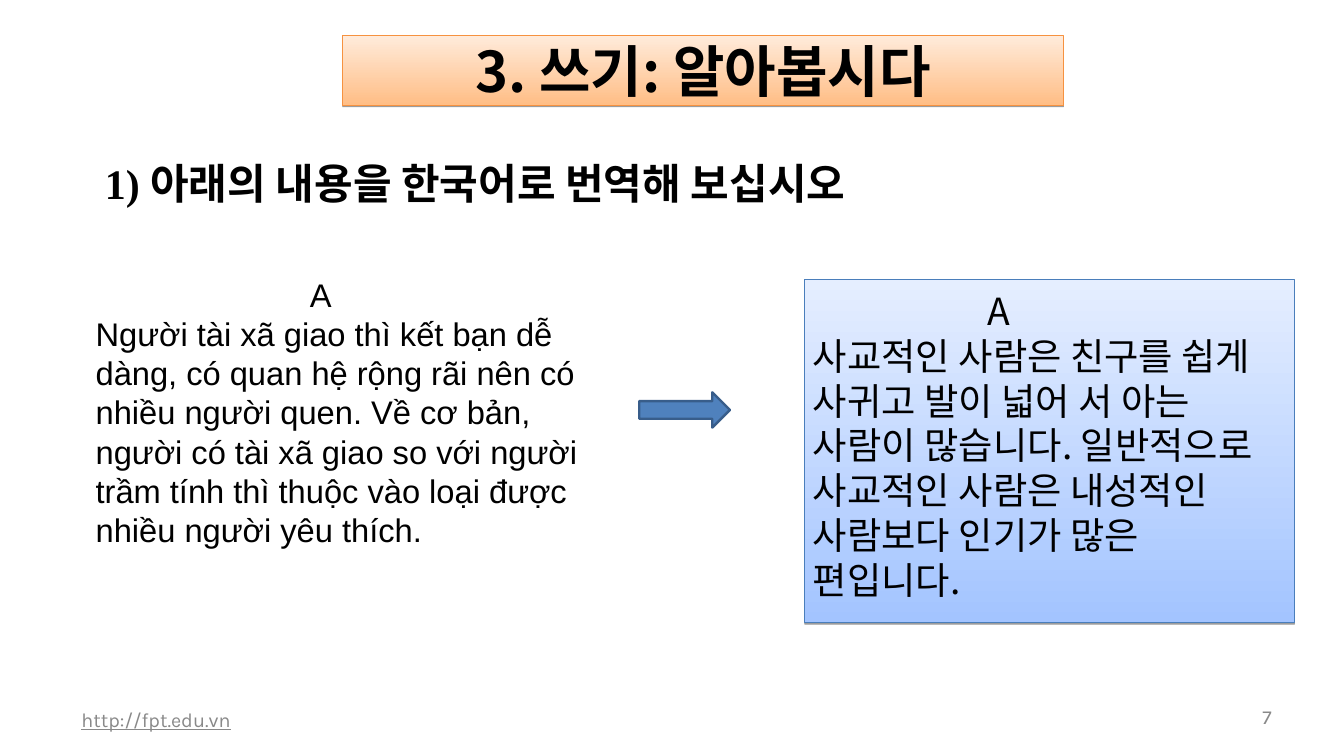
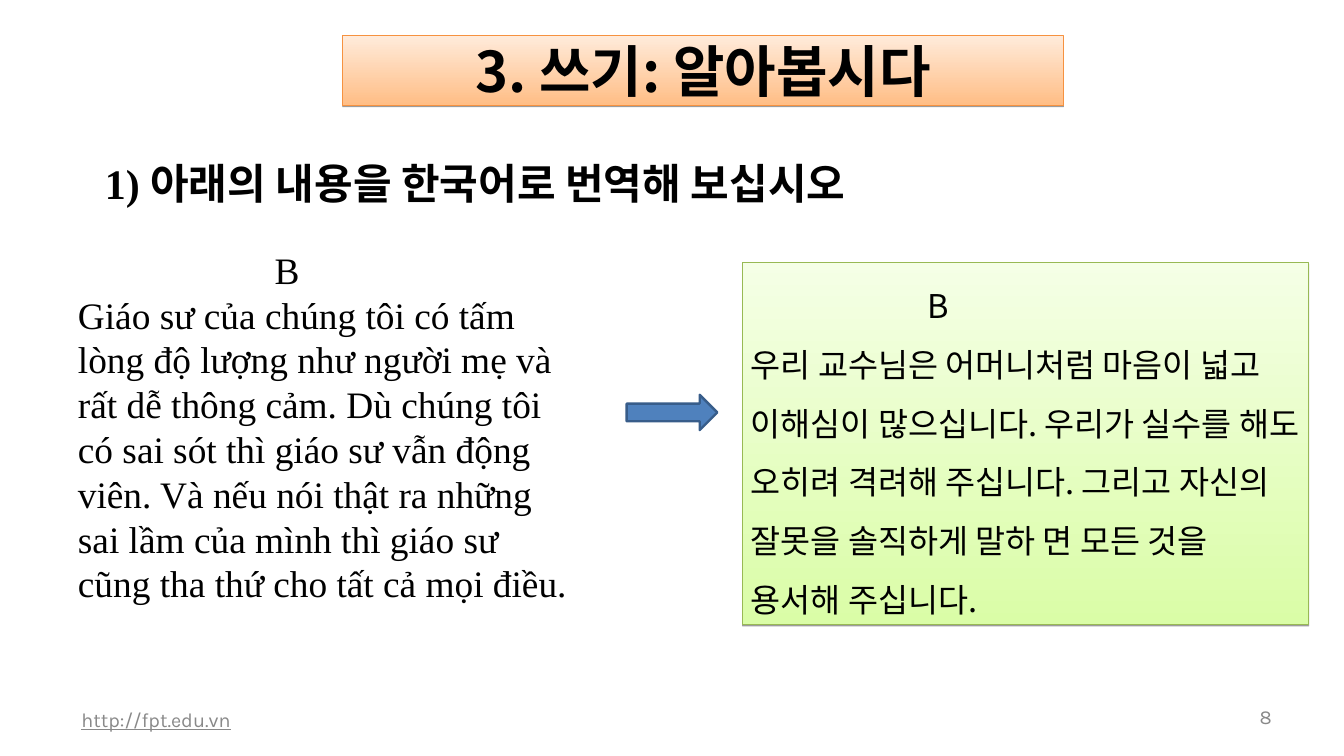
from dataclasses import dataclass

from lxml.etree import SubElement
from pptx import Presentation
from pptx.dml.color import RGBColor
from pptx.enum.shapes import MSO_SHAPE as Shape
from pptx.enum.text import MSO_ANCHOR as Anchor, PP_ALIGN as Align
from pptx.oxml.ns import qn
from pptx.util import Inches, Pt

# The slide is a grid of 16 columns by 9 rows, one inch each
COLUMNS, ROWS = 16, 9
KOREAN, SERIF, SANS, FOOTER = "Noto Sans CJK KR", "Times New Roman", "Arial", "Karla"
BLACK, GREY = "000000", "898989"
ARROW_FILL, ARROW_LINE = "4F81BD", "385D8A"
LINE_PITCH = 1.2


@dataclass(frozen=True)
class Area:
    left: float
    top: float
    width: float
    height: float


@dataclass(frozen=True)
class Insets:
    left: float = 0.1
    right: float = 0.1
    vertical: float = 0.1


@dataclass(frozen=True)
class Style:
    font: str
    size: float
    color: str = BLACK
    bold: bool = False
    underline: bool = False
    align: Align = Align.LEFT
    pitch: float | None = LINE_PITCH  # line height as a multiple of the size


@dataclass(frozen=True)
class Tint:
    bottom: str
    top: str
    line: str


@dataclass(frozen=True)
class Passage:
    area: Area
    style: Style
    label_indent: float
    text: str
    tint: Tint | None = None
    insets: Insets = Insets()


@dataclass(frozen=True)
class Exercise:
    number: int
    label: str
    source: Passage
    answer: Passage
    arrow: Area


ORANGE = Tint("FFBE86", "FFEBDB", "F69240")
BLUE = Tint("A3C4FF", "E5EEFF", "4A7EBB")
GREEN = Tint("DAFDA7", "F5FFE6", "98B954")

TITLE = Style(KOREAN, 48, bold=True, align=Align.CENTER)
HEADING = Style(SERIF, 36, bold=True)
LINK = Style(FOOTER, 17, GREY, underline=True, pitch=None)
PAGE_NUMBER = Style(FOOTER, 17, GREY, align=Align.RIGHT, pitch=None)

EXERCISES = [
    Exercise(
        7, "A",
        Passage(Area(1.04, 3.17, 6.09, 3.67), Style(SANS, 28), 2.55,
                "Người tài xã giao thì kết bạn dễ dàng, có quan hệ rộng rãi nên có "
                "nhiều người quen. Về cơ bản, người có tài xã giao so với người "
                "trầm tính thì thuộc vào loại được nhiều người yêu thích."),
        # The wider right inset keeps the closing period inside the panel
        Passage(Area(9.58, 3.33, 5.83, 4.08), Style(KOREAN, 32), 2.08,
                "사교적인 사람은 친구를 쉽게 사귀고 발이 넓어 서 아는 사람이 많습니다. "
                "일반적으로 사교적인 사람은 내성적인 사람보다 인기가 많은 편입니다.",
                BLUE, Insets(right=0.2)),
        Area(7.61, 4.67, 1.08, 0.42)),
    Exercise(
        8, "B",
        Passage(Area(0.83, 2.84, 6.17, 2.51), Style(SERIF, 32), 2.34,
                "Giáo sư của chúng tôi có tấm lòng độ lượng như người mẹ và rất dễ "
                "thông cảm. Dù chúng tôi có sai sót thì giáo sư vẫn động viên. Và nếu "
                "nói thật ra những sai lầm của mình thì giáo sư cũng tha thứ cho tất "
                "cả mọi điều."),
        Passage(Area(8.84, 3.12, 6.74, 4.31), Style(KOREAN, 28, pitch=1.5 * LINE_PITCH), 2.1,
                "우리 교수님은 어머니처럼 마음이 넓고 이해심이 많으십니다. 우리가 실수를 "
                "해도 오히려 격려해 주십니다. 그리고 자신의 잘못을 솔직하게 말하 면 모든 "
                "것을 용서해 주십니다.", GREEN, Insets(vertical=0.05)),
        Area(7.46, 4.7, 1.08, 0.42)),
]


def rgb(color: str) -> RGBColor:
    return RGBColor.from_string(color)


def place(area: Area) -> list[int]:
    return [Inches(n) for n in (area.left, area.top, area.width, area.height)]


def add_text_box(page, area: Area):
    return page.shapes.add_textbox(*place(area))


def add_panel(page, area: Area, tint: Tint):
    """Rectangle with a vertical gradient, thin outline and a short drop shadow."""
    panel = page.shapes.add_shape(Shape.RECTANGLE, *place(area))
    panel.fill.gradient()
    panel.fill.gradient_angle = 90
    for stop, color in zip(panel.fill.gradient_stops, (tint.bottom, tint.top)):
        stop.color.rgb = rgb(color)
    panel.line.color.rgb = rgb(tint.line)
    panel.line.width = Pt(0.75)
    panel.shadow.inherit = False
    effects = panel._element.spPr.find(qn("a:effectLst"))
    shadow = SubElement(effects, qn("a:outerShdw"), blurRad="0", dist=str(Pt(1.6)),
                        dir="5400000", rotWithShape="0")
    color = SubElement(shadow, qn("a:srgbClr"), val=BLACK)
    SubElement(color, qn("a:alpha"), val="38000")
    return panel


def write(box, lines: list[tuple[str, float]], style: Style,
          insets: Insets = Insets(), anchor: Anchor = Anchor.TOP) -> None:
    """Fill a box with (text, left indent) paragraphs in one style."""
    frame = box.text_frame
    frame.word_wrap = True
    frame.vertical_anchor = anchor
    frame.margin_left, frame.margin_right = Inches(insets.left), Inches(insets.right)
    frame.margin_top = frame.margin_bottom = Inches(insets.vertical)
    for index, (text, indent) in enumerate(lines):
        para = frame.add_paragraph() if index else frame.paragraphs[0]
        para.text = text
        para.alignment = style.align
        if style.pitch:
            para.line_spacing = Pt(style.pitch * style.size)
        font = para.font
        font.name, font.size = style.font, Pt(style.size)
        font.bold, font.underline = style.bold, style.underline
        font.color.rgb = rgb(style.color)
        properties = para._p.get_or_add_pPr()
        properties.set("marL", str(Inches(indent)))
        properties.set("indent", "0")
        SubElement(properties.find(qn("a:defRPr")), qn("a:ea"), typeface=KOREAN)


def add_passage(page, passage: Passage, label: str) -> None:
    if passage.tint:
        box = add_panel(page, passage.area, passage.tint)
    else:
        box = add_text_box(page, passage.area)
    write(box, [(label, passage.label_indent), (passage.text, 0)],
          passage.style, passage.insets)


def add_arrow(page, area: Area) -> None:
    arrow = page.shapes.add_shape(Shape.RIGHT_ARROW, *place(area))
    arrow.shadow.inherit = False
    arrow.fill.solid()
    arrow.fill.fore_color.rgb = rgb(ARROW_FILL)
    arrow.line.color.rgb = rgb(ARROW_LINE)
    arrow.line.width = Pt(2)


def add_frame(page, number: int) -> None:
    """Footer, title band and task heading shared by all slides."""
    footer = Insets(0.14, 0.14, 0.07)
    write(add_text_box(page, Area(0.83, 8.33, 5.07, 0.48)),
          [("http://fpt.edu.vn", 0)], LINK, footer, Anchor.MIDDLE)
    write(add_text_box(page, Area(14.5, 8.33, 0.78, 0.41)),
          [(str(number), 0)], PAGE_NUMBER, footer, Anchor.MIDDLE)
    write(add_panel(page, Area(4.08, 0.42, 8.58, 0.83), ORANGE),
          [("3. 쓰기: 알아봅시다", 0)], TITLE, Insets(vertical=0.05), Anchor.MIDDLE)
    write(add_text_box(page, Area(1.07, 1.77, 9.68, 0.6)),
          [("1) 아래의 내용을 한국어로 번역해 보십시오", 0.08)], HEADING)


def main() -> None:
    deck = Presentation()
    deck.slide_width, deck.slide_height = Inches(COLUMNS), Inches(ROWS)
    for exercise in EXERCISES:
        page = deck.slides.add_slide(deck.slide_layouts[6])
        add_frame(page, exercise.number)
        add_passage(page, exercise.source, exercise.label)
        add_passage(page, exercise.answer, exercise.label)
        add_arrow(page, exercise.arrow)
    deck.save("out.pptx")


if __name__ == "__main__":
    main()
